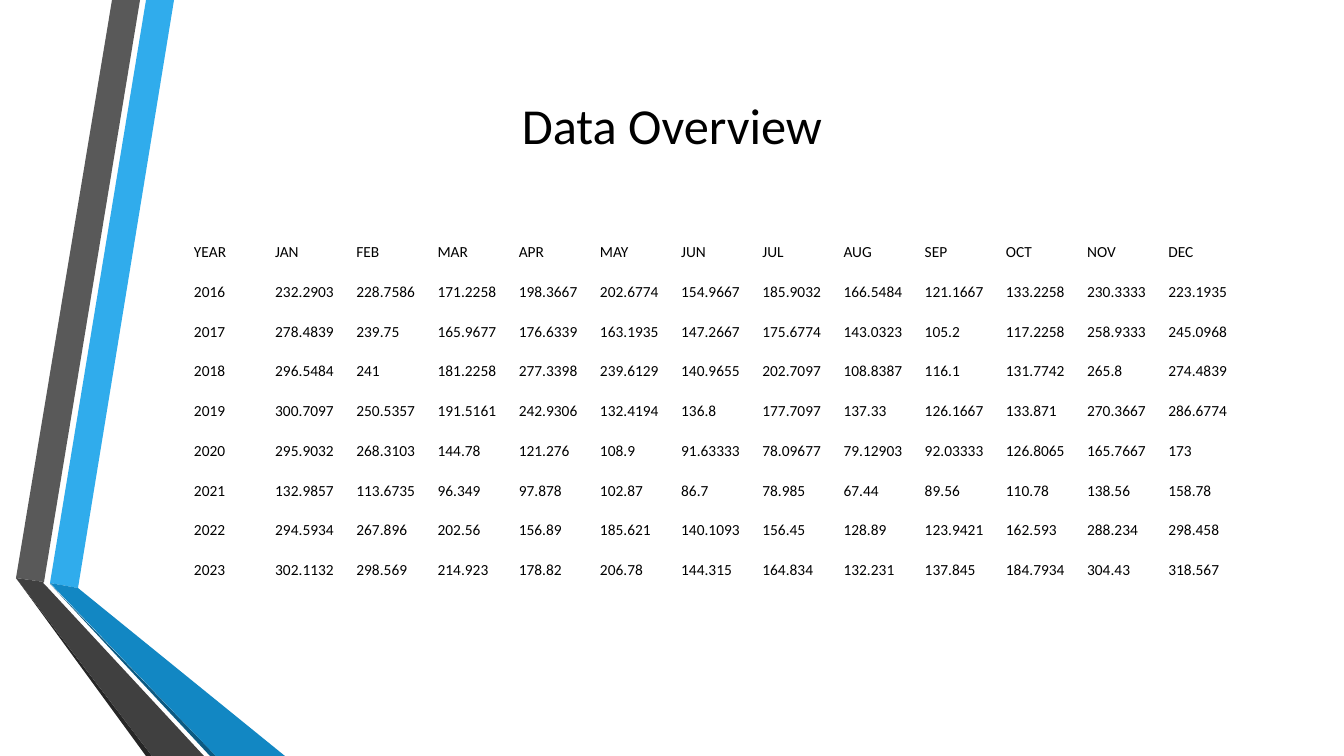
from pptx import Presentation
from pptx.dml.color import RGBColor
from pptx.enum.text import MSO_ANCHOR, PP_ALIGN
from pptx.util import Emu, Pt

PX = 914400 / 100.8
FONT = "Calibri"
BLACK = RGBColor(0x00, 0x00, 0x00)
WHITE = RGBColor(0xFF, 0xFF, 0xFF)
SKY = RGBColor(0x30, 0xAC, 0xEC)
BLUE = RGBColor(0x12, 0x87, 0xC3)
NAVY = RGBColor(0x0C, 0x5A, 0x82)
GREY = RGBColor(0x59, 0x59, 0x59)
DARK_GREY = RGBColor(0x40, 0x40, 0x40)
CHARCOAL = RGBColor(0x26, 0x26, 0x26)

# Ribbon outlines in px, measured from the corner of the ribbon box
RIBBONS = [
    (SKY, [(34, 583), (62, 588), (158, 0), (130, 0)]),
    (GREY, [(124, 0), (96, 0), (0, 578), (28, 582)]),
    (CHARCOAL, [(0, 578), (130, 756), (136, 756)]),
    (NAVY, [(34, 584), (194, 756), (200, 756)]),
    (BLUE, [(34, 583), (200, 756), (269, 756), (62, 588)]),
    (DARK_GREY, [(188, 756), (32, 588), (27, 583), (28, 582), (0, 578), (136, 756)]),
]

MONTHLY_DATA = [
    "YEAR JAN FEB MAR APR MAY JUN JUL AUG SEP OCT NOV DEC",
    "2016 232.2903 228.7586 171.2258 198.3667 202.6774 154.9667 185.9032 166.5484 121.1667 133.2258 230.3333 223.1935",
    "2017 278.4839 239.75 165.9677 176.6339 163.1935 147.2667 175.6774 143.0323 105.2 117.2258 258.9333 245.0968",
    "2018 296.5484 241 181.2258 277.3398 239.6129 140.9655 202.7097 108.8387 116.1 131.7742 265.8 274.4839",
    "2019 300.7097 250.5357 191.5161 242.9306 132.4194 136.8 177.7097 137.33 126.1667 133.871 270.3667 286.6774",
    "2020 295.9032 268.3103 144.78 121.276 108.9 91.63333 78.09677 79.12903 92.03333 126.8065 165.7667 173",
    "2021 132.9857 113.6735 96.349 97.878 102.87 86.7 78.985 67.44 89.56 110.78 138.56 158.78",
    "2022 294.5934 267.896 202.56 156.89 185.621 140.1093 156.45 128.89 123.9421 162.593 288.234 298.458",
    "2023 302.1132 298.569 214.923 178.82 206.78 144.315 164.834 132.231 137.845 184.7934 304.43 318.567",
]


def px(n):
    return Emu(round(n * PX))


def format_runs(p, size):
    for r in p.runs:
        r.font.name = FONT
        r.font.size = Pt(size)
        r.font.color.rgb = BLACK


def add_ribbons(s, x, y):
    group = s.shapes.add_group_shape()
    for color, points in RIBBONS:
        (x0, y0), *rest = [(x + dx, y + dy) for dx, dy in points]
        builder = group.shapes.build_freeform(x0, y0, scale=PX)
        builder.add_line_segments(rest, close=True)
        sp = builder.convert_to_shape()
        sp.shadow.inherit = False
        sp.fill.solid()
        sp.fill.fore_color.rgb = color
        sp.line.fill.background()


def add_title(s, text, x, y, w, h):
    title = s.shapes.title
    title.left, title.top, title.width, title.height = map(px, (x, y, w, h))
    tf = title.text_frame
    tf.text = text
    tf.vertical_anchor = MSO_ANCHOR.MIDDLE
    p = tf.paragraphs[0]
    p.alignment = PP_ALIGN.CENTER
    format_runs(p, 36)


def format_cell(cell, text):
    cell.text = text
    cell.vertical_anchor = MSO_ANCHOR.BOTTOM
    cell.margin_left = cell.margin_right = cell.margin_top = px(1)
    cell.margin_bottom = 0
    cell.fill.solid()
    cell.fill.fore_color.rgb = WHITE
    format_runs(cell.text_frame.paragraphs[0], 11)


def add_data_table(s, x, y, w, h):
    data = [line.split() for line in MONTHLY_DATA]
    frame = s.shapes.add_table(len(data), len(data[0]), px(x), px(y), px(w), px(h))
    table = frame.table
    table.first_row = table.horz_banding = False
    for column in table.columns:
        column.width = px(w / len(data[0]))
    for row, values in zip(table.rows, data):
        row.height = px(h / len(data))
        for cell, value in zip(row.cells, values):
            format_cell(cell, value)


def main():
    prs = Presentation()
    prs.slide_width, prs.slide_height = px(1344), px(756)
    s = prs.slides.add_slide(prs.slide_layouts.get_by_name("Title Only"))
    s.background.fill.solid()
    s.background.fill.fore_color.rgb = WHITE
    add_ribbons(s, 16, 0)
    add_title(s, "Data Overview", 247, 88, 850, 72)
    add_data_table(s, 193, 222, 1056, 358)
    prs.save("out.pptx")


if __name__ == "__main__":
    main()
